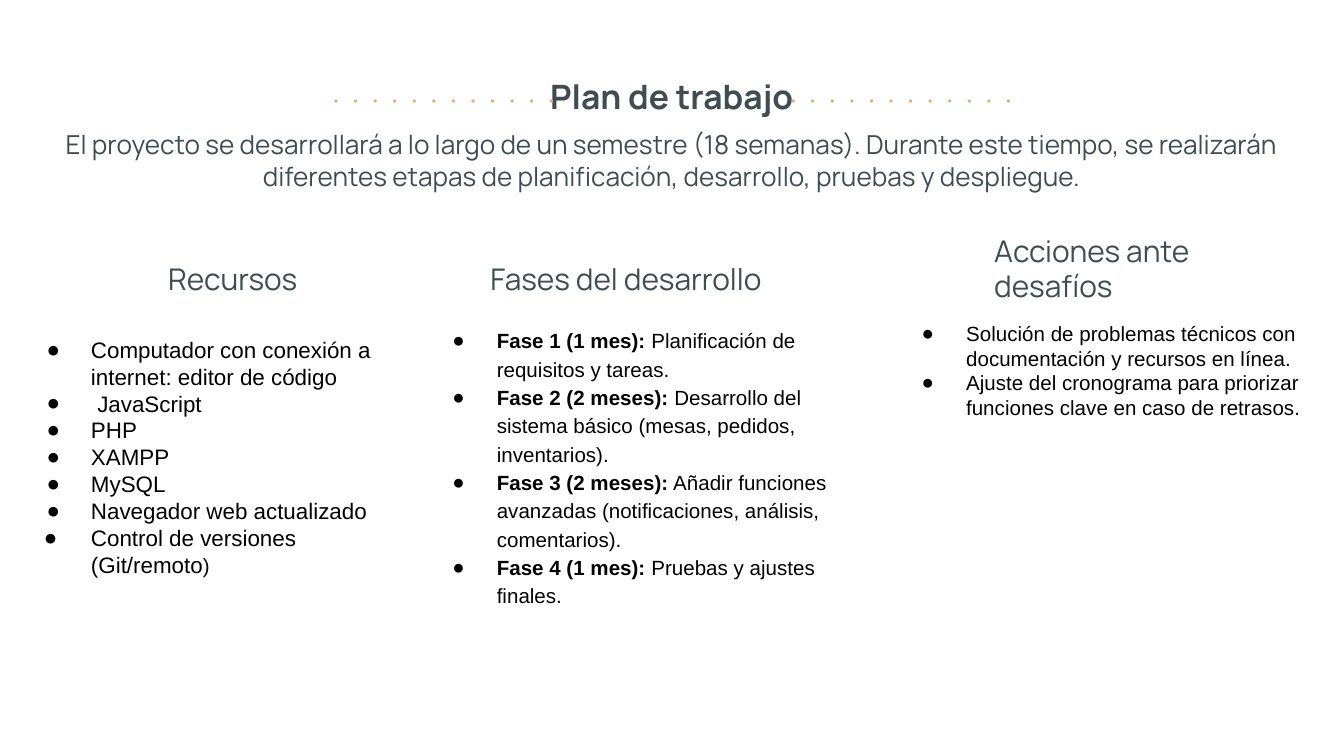
from dataclasses import dataclass

from lxml.etree import SubElement
from pptx import Presentation
from pptx.dml.color import RGBColor
from pptx.enum.shapes import MSO_SHAPE as Shape
from pptx.enum.text import MSO_ANCHOR as Anchor, PP_ALIGN as Align
from pptx.oxml.ns import qn
from pptx.util import Cm, Pt


@dataclass(frozen=True)
class Theme:
    slate: str = "3F4D53"
    black: str = "000000"
    accent: str = "E5AC77"
    display: str = "Manrope"
    body: str = "Arial"
    title: int = 18
    heading: int = 16
    intro: int = 14
    large: int = 12
    small: int = 11


@dataclass
class Item:
    """A bulleted line: a bold lead, plain text and a smaller tail."""
    text: str
    lead: str = ""
    tail: str = ""
    margin: float = 1.27
    hang: float = 0.84


def add_text(paragraph, text, *, font, size, color, bold=False):
    run = paragraph.add_run()
    run.text = text
    run.font.name = font
    run.font.size = Pt(size)
    run.font.bold = bold
    run.font.color.rgb = RGBColor.from_string(color)


def add_bullet(paragraph, margin, hang, color):
    properties = paragraph._p.get_or_add_pPr()
    properties.set("marL", str(Cm(margin)))
    properties.set("indent", str(-Cm(hang)))
    tint = SubElement(properties, qn("a:buClr"))
    SubElement(tint, qn("a:srgbClr"), val=color)
    SubElement(properties, qn("a:buFont"), typeface="Arial")
    SubElement(properties, qn("a:buChar"), char="●")


class SlideBuilder:
    def __init__(self, slide, theme):
        self.slide = slide
        self.theme = theme

    def frame(self, left, top, width, height):
        box = self.slide.shapes.add_textbox(Cm(left), Cm(top), Cm(width), Cm(height))
        frame = box.text_frame
        frame.word_wrap = True
        frame.vertical_anchor = Anchor.TOP
        frame.margin_left = frame.margin_right = Cm(0.25)
        frame.margin_top = frame.margin_bottom = Cm(0.25)
        return frame

    def heading(self, text, *place, size, align=Align.LEFT, bold=False):
        paragraph = self.frame(*place).paragraphs[0]
        paragraph.alignment = align
        add_text(paragraph, text, font=self.theme.display, size=size,
                 color=self.theme.slate, bold=bold)

    def bullets(self, items, *place, size, spacing=1.0):
        frame = self.frame(*place)
        style = {"font": self.theme.body, "color": self.theme.black}
        for index, item in enumerate(items):
            paragraph = frame.add_paragraph() if index else frame.paragraphs[0]
            add_bullet(paragraph, item.margin, item.hang, self.theme.black)
            paragraph.line_spacing = spacing
            if item.lead:
                add_text(paragraph, item.lead, size=size, bold=True, **style)
            add_text(paragraph, item.text, size=size, **style)
            if item.tail:
                add_text(paragraph, item.tail, size=self.theme.small, **style)

    def dotted_row(self, left, top, count=12, pitch=0.37):
        row = self.slide.shapes.add_group_shape()
        for index in range(count):
            dot = row.shapes.add_shape(Shape.OVAL, Cm(left + index * pitch), Cm(top),
                                       Cm(0.06), Cm(0.06))
            dot.shadow.inherit = False
            dot.fill.solid()
            dot.fill.fore_color.rgb = RGBColor.from_string(self.theme.accent)
            dot.line.fill.background()


RESOURCES = [
    Item("Computador con conexión a internet: editor de código"),
    Item("JavaScript", margin=1.39, hang=0.96),
    Item("PHP"),
    Item("XAMPP"),
    Item("MySQL"),
    Item("Navegador web actualizado"),
    Item("Control de versiones (Git/remoto", tail=")", hang=0.89),
]
PHASES = [
    Item(" Planificación de requisitos y tareas.", lead="Fase 1 (1 mes):"),
    Item(" Desarrollo del sistema básico (mesas, pedidos, inventarios).",
         lead="Fase 2 (2 meses):"),
    Item(" Añadir funciones avanzadas (notificaciones, análisis, comentarios).",
         lead="Fase 3 (2 meses):"),
    Item(" Pruebas y ajustes finales.", lead="Fase 4 (1 mes):"),
]
ACTIONS = [
    Item("Solución de problemas técnicos con documentación y recursos en línea."),
    Item("Ajuste del cronograma para priorizar funciones clave en caso de retrasos."),
]
INTRO = ("El proyecto se desarrollará a lo largo de un semestre (18 semanas). "
         "Durante este tiempo, se realizarán diferentes etapas de planificación, "
         "desarrollo, pruebas y despliegue.")


def main():
    deck = Presentation()
    deck.slide_width, deck.slide_height = Cm(25.4), Cm(14.29)
    theme = Theme()
    plan = SlideBuilder(deck.slides.add_slide(deck.slide_layouts[6]), theme)

    plan.heading("Plan de trabajo", 4.72, 1.19, 15.95, 1.32,
                 size=theme.title, align=Align.CENTER, bold=True)
    for left in (6.32, 14.96):
        plan.dotted_row(left, 1.88)

    plan.heading("Recursos", 0.99, 4.67, 4.88, 1.14,
                 size=theme.heading, align=Align.RIGHT)
    plan.bullets(RESOURCES, 0.2, 6.1, 7.67, 8, size=theme.large)

    plan.heading("Fases del desarrollo", 9.02, 4.67, 6.4, 1.14, size=theme.heading)
    plan.bullets(PHASES, 7.87, 5.89, 8.86, 8.4, size=theme.small, spacing=1.15)

    plan.heading("Acciones ante desafíos", 18.54, 4.14, 4.88, 1.14, size=theme.heading)
    plan.bullets(ACTIONS, 16.74, 5.82, 8.66, 8.47, size=theme.small)

    plan.heading(INTRO, 0, 2.18, 25.4, 1.96, size=theme.intro, align=Align.CENTER)

    deck.save("out.pptx")


if __name__ == "__main__":
    main()
